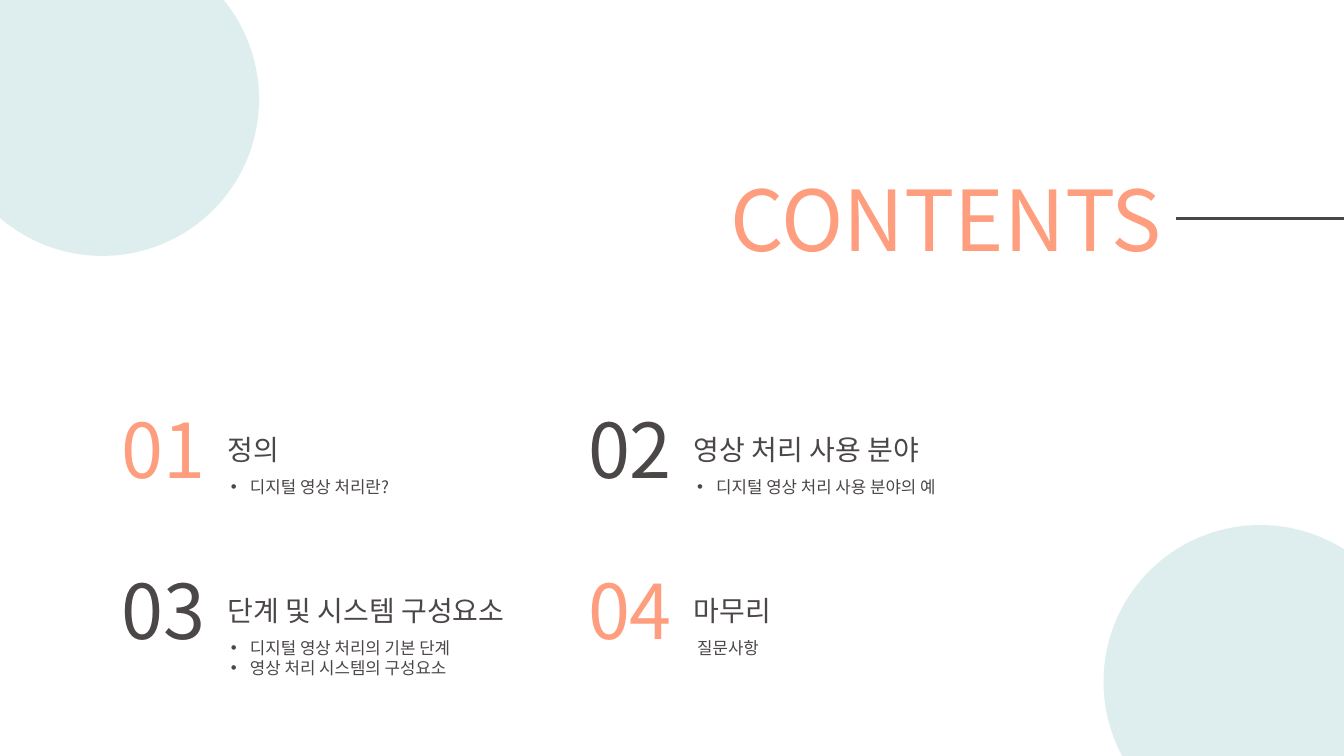
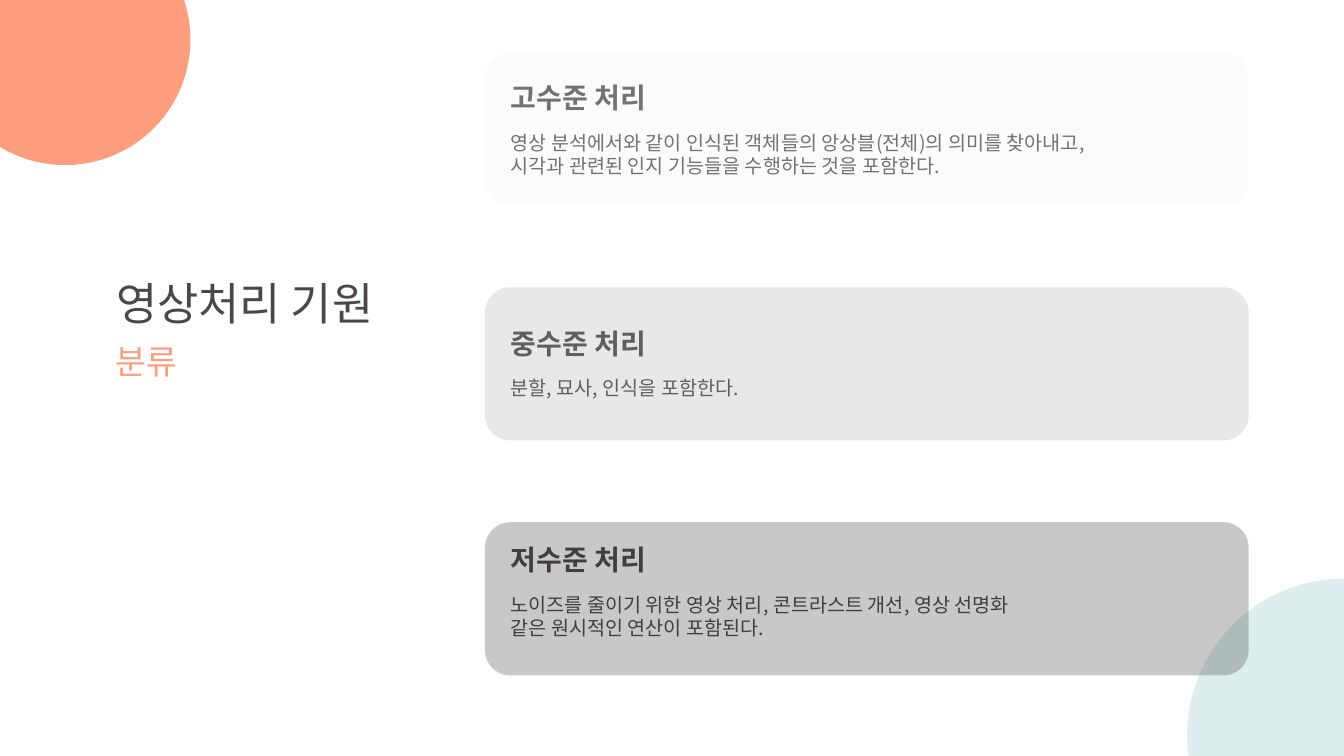
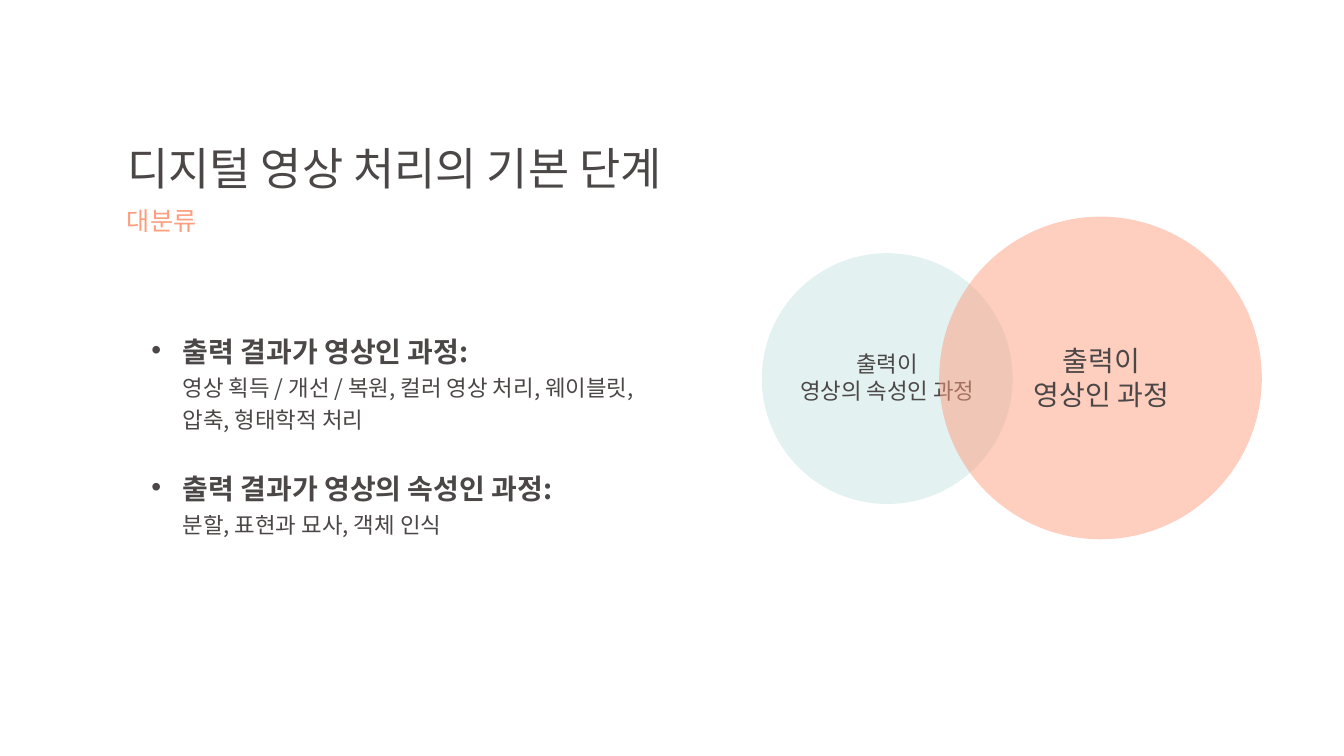
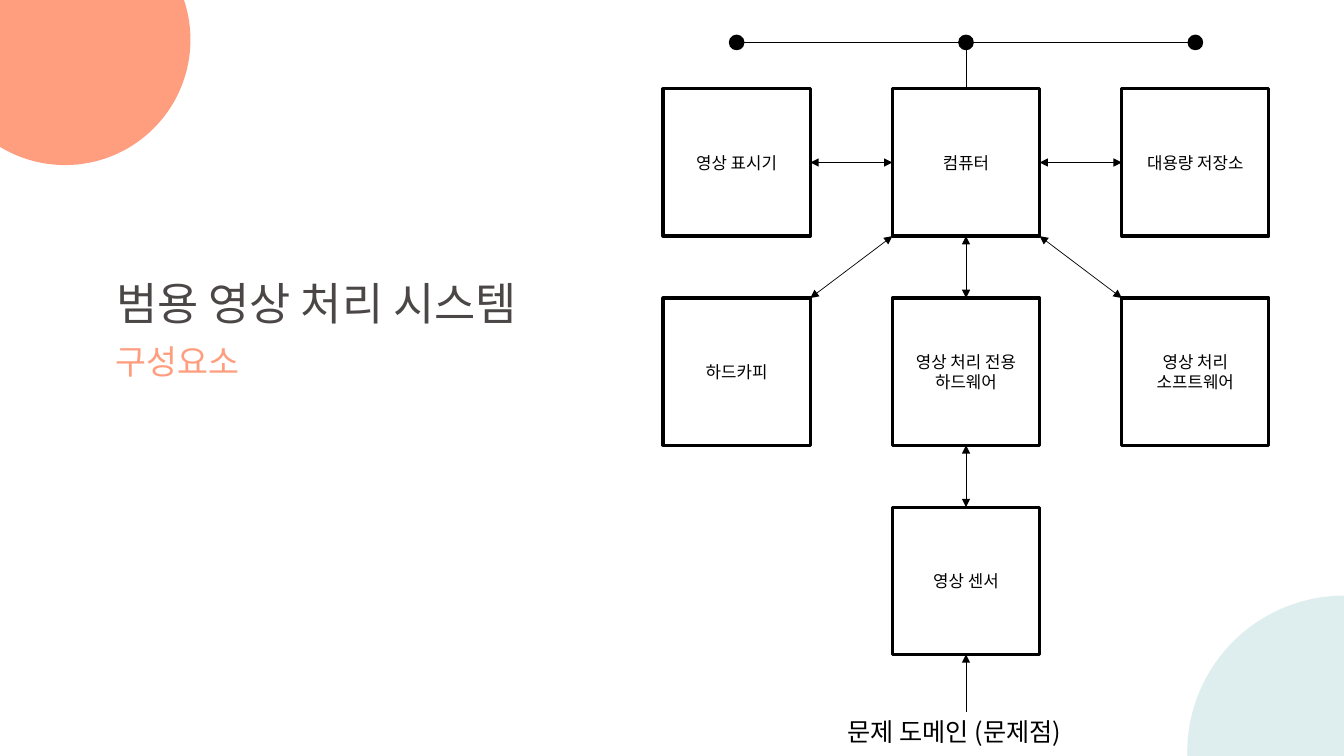
from dataclasses import dataclass
from typing import Any, Optional

from lxml import etree
from pptx import Presentation
from pptx.dml.color import RGBColor
from pptx.enum.shapes import MSO_CONNECTOR, MSO_SHAPE
from pptx.enum.text import MSO_ANCHOR, MSO_AUTO_SIZE, PP_ALIGN
from pptx.oxml.ns import qn
from pptx.util import Cm, Pt

ELLIPSE, RECTANGLE = MSO_SHAPE.OVAL, MSO_SHAPE.RECTANGLE
ROUNDED = MSO_SHAPE.ROUNDED_RECTANGLE
STRAIGHT = MSO_CONNECTOR.STRAIGHT
LEFT, CENTER = PP_ALIGN.LEFT, PP_ALIGN.CENTER
TOP_ANCHOR, MIDDLE = MSO_ANCHOR.TOP, MSO_ANCHOR.MIDDLE
GROW, FIXED = MSO_AUTO_SIZE.SHAPE_TO_FIT_TEXT, MSO_AUTO_SIZE.NONE
TOP, LEFT_SIDE, BOTTOM, RIGHT_SIDE = range(4)


@dataclass(frozen=True)
class Theme:
    font: str = "Noto Sans CJK KR"
    ink: str = "4C4747"
    peach: str = "FE9E7E"
    mint: str = "C8E4E5"
    black: str = "000000"
    white: str = "FFFFFF"
    cover: int = 60
    number: int = 54
    title: int = 32
    subtitle: int = 24
    heading: int = 20
    label: int = 18
    body: int = 16
    detail: int = 14
    small: int = 12


THEME = Theme()
SLIDE_WIDTH, SLIDE_HEIGHT = 33.87, 19.05


@dataclass(frozen=True)
class Para:
    text: str
    size: int
    color: str = THEME.ink
    bold: bool = False
    align: Any = LEFT
    indent: float = 0
    bullet: bool = False
    space_before: float = 0
    outline: bool = True


@dataclass(frozen=True)
class Area:
    left: float
    top: float
    width: float
    height: float

    def lengths(self) -> tuple:
        return Cm(self.left), Cm(self.top), Cm(self.width), Cm(self.height)


@dataclass(frozen=True)
class Chapter:
    number: str
    color: str
    heading: str
    heading_width: float
    details: tuple
    detail_width: float
    bullet: bool = True


@dataclass(frozen=True)
class Card:
    heading: str
    lines: tuple
    fill: str
    text_offset: float
    text_width: float


@dataclass(frozen=True)
class Node:
    name: str
    column: int
    row: int
    lines: tuple


# Text

def set_values(target: Any, values: dict) -> None:
    for name, value in values.items():
        setattr(target, name, value)


def add_outline(properties: Any, color: str) -> None:
    line = etree.Element(qn("a:ln"), w=str(Pt(0.75)))
    fill = etree.SubElement(line, qn("a:solidFill"))
    tone = etree.SubElement(fill, qn("a:srgbClr"), val=color)
    etree.SubElement(tone, qn("a:alpha"), val="20000")
    properties.insert(0, line)


def write(frame: Any, paras: list[Para]) -> None:
    for index, item in enumerate(paras):
        para = frame.paragraphs[0] if index == 0 else frame.add_paragraph()
        set_values(para, {"alignment": item.align, "space_before": Pt(item.space_before)})
        if item.indent:
            properties = para._p.get_or_add_pPr()
            properties.set("marL", str(Cm(item.indent)))
            properties.set("indent", str(-Cm(item.indent) if item.bullet else 0))
            if item.bullet:
                etree.SubElement(properties, qn("a:buFont"), typeface="Arial")
                etree.SubElement(properties, qn("a:buChar"), char="•")
        span = para.add_run()
        span.text = item.text
        set_values(span.font, {"name": THEME.font, "size": Pt(item.size), "bold": item.bold})
        span.font.color.rgb = RGBColor.from_string(item.color)
        properties = span.font._element
        etree.SubElement(properties, qn("a:ea"), typeface=THEME.font)
        if item.outline:
            add_outline(properties, item.color)


def add_text(page: Any, area: Area, paras: list[Para]) -> Any:
    box = page.shapes.add_textbox(*area.lengths())
    set_values(box.text_frame, {"word_wrap": False, "auto_size": GROW})
    write(box.text_frame, paras)
    return box


def add_page(deck: Any, title: str, area: Area, size: int = THEME.title,
             color: str = THEME.ink) -> Any:
    page = deck.slides.add_slide(deck.slide_layouts[5])
    box = page.shapes.title
    set_values(box, dict(zip(("left", "top", "width", "height"), area.lengths())))
    set_values(box.text_frame, {"word_wrap": True, "auto_size": FIXED,
                                "vertical_anchor": TOP_ANCHOR})
    write(box.text_frame, [Para(title, size, color)])
    return page


# Shapes and lines

def add_shape(page: Any, kind: Any, area: Area, fill: str, opacity: int = 100,
              line: Optional[str] = None, line_width: float = 1) -> Any:
    shape = page.shapes.add_shape(kind, *area.lengths())
    shape.shadow.inherit = False
    shape.fill.solid()
    shape.fill.fore_color.rgb = RGBColor.from_string(fill)
    if opacity < 100:
        tone = shape._element.spPr.find(qn("a:solidFill"))[0]
        etree.SubElement(tone, qn("a:alpha"), val=str(opacity * 1000))
    if line:
        shape.line.color.rgb = RGBColor.from_string(line)
        shape.line.width = Pt(line_width)
    else:
        shape.line.fill.background()
    return shape


def add_circle(page: Any, left: float, top: float, diameter: float,
               fill: str, opacity: int = 100) -> Any:
    return add_shape(page, ELLIPSE, Area(left, top, diameter, diameter), fill, opacity)


def add_line(page: Any, start: tuple = (0, 0), end: tuple = (0, 0),
             color: str = THEME.black, width: float = 0.5,
             head: bool = False, tail: bool = False) -> Any:
    line = page.shapes.add_connector(STRAIGHT, *(Cm(value) for value in start + end))
    line.line.color.rgb = RGBColor.from_string(color)
    line.line.width = Pt(width)
    properties = line._element.spPr
    for tag, wanted in (("a:headEnd", head), ("a:tailEnd", tail)):
        if wanted:
            etree.SubElement(properties.find(qn("a:ln")), qn(tag), type="triangle")
    etree.SubElement(properties, qn("a:effectLst"))
    return line


# Slides

def build_contents(deck: Any) -> None:
    page = add_page(deck, "CONTENTS", Area(18.16, 4.09, 11.48, 2.82), 60, THEME.peach)
    add_line(page, (29.64, 5.51), (SLIDE_WIDTH, 5.51), THEME.ink, 2.25)
    for left, top in ((-1.37, -1.45), (27.81, 13.23)):
        add_circle(page, left, top, 7.9, THEME.mint, THEME.cover)

    chapters = [
        Chapter("01", THEME.peach, "정의", 1.93, ("디지털 영상 처리란?",), 4.9),
        Chapter("02", THEME.ink, "영상 처리 사용 분야", 6.96,
                ("디지털 영상 처리 사용 분야의 예",), 7.32),
        Chapter("03", THEME.ink, "단계 및 시스템 구성요소", 8.38,
                ("디지털 영상 처리의 기본 단계", "영상 처리 시스템의 구성요소"), 6.73),
        Chapter("04", THEME.peach, "마무리", 2.64, ("질문사항",), 2.24, False),
    ]
    for index, chapter in enumerate(chapters):
        row, column = divmod(index, 2)
        left, top = 2.82 + 11.75 * column, 10.03 + 4.06 * row
        add_text(page, Area(left, top, 2.67, 2.57),
                 [Para(chapter.number, THEME.number, chapter.color)])
        add_text(page, Area(left + 2.67, top + 0.74, chapter.heading_width, 1.12),
                 [Para(chapter.heading, THEME.heading)])
        indent = 0.48 if chapter.bullet else 0
        add_text(page, Area(left + 2.75, top + 1.85, chapter.detail_width,
                            0.25 + 0.51 * len(chapter.details)),
                 [Para(text, THEME.small, indent=indent, bullet=chapter.bullet)
                  for text in chapter.details])


def add_section_page(deck: Any, title: str, width: float, subtitle: str,
                     subtitle_width: float, mint_top: float) -> Any:
    page = add_page(deck, title, Area(2.67, 6.83, width, 1.63))
    add_circle(page, -1.52, -2.16, 6.32, THEME.peach)
    add_text(page, Area(2.67, 8.46, subtitle_width, 1.27),
             [Para(subtitle, THEME.subtitle, THEME.peach)])
    add_circle(page, 29.92, mint_top, 7.9, THEME.mint, THEME.cover)
    return page


def build_levels(deck: Any) -> None:
    page = add_section_page(deck, "영상처리 기원", 7.75, "분류", 2.24, 14.58)
    cards = [
        Card("고수준 처리",
             ("영상 분석에서와 같이 인식된 객체들의 앙상블(전체)의 의미를 찾아내고,",
              "시각과 관련된 인지 기능들을 수행하는 것을 포함한다."), "F2F2F2", 0.59, 16.79),
        Card("중수준 처리", ("분할, 묘사, 인식을 포함한다.",), "A6A6A6", 0.86, 7.04),
        Card("저수준 처리",
             ("노이즈를 줄이기 위한 영상 처리, 콘트라스트 개선, 영상 선명화",
              "같은 원시적인 연산이 포함된다."), "262626", 0.39, 14.6),
    ]
    for index, card in enumerate(cards):
        card_top = 1.32 + 5.92 * index
        text_top = card_top + card.text_offset
        add_text(page, Area(12.62, text_top, 4.32, 1.12),
                 [Para(card.heading, THEME.heading, bold=True)])
        add_text(page, Area(12.62, text_top + 1.26, card.text_width,
                            0.26 + 0.6 * len(card.lines)),
                 [Para(text, THEME.detail) for text in card.lines])
        # The translucent card lies over its text
        add_shape(page, ROUNDED, Area(12.22, card_top, 19.25, 3.86), card.fill, 25)


def build_steps(deck: Any) -> None:
    page = add_page(deck, "디지털 영상 처리의 기본 단계", Area(2.95, 3.43, 15.8, 1.63))
    add_text(page, Area(2.95, 5.05, 2.44, 1.02), [Para("대분류", THEME.label, THEME.peach)])

    # Table of the two kinds of process
    table = page.shapes.add_table(1, 2, *Area(2.95, 8.18, 14.96, 4.65).lengths()).table
    set_values(table, {"first_row": False, "horz_banding": False})
    for column, width in zip(table.columns, (0.58, 14.38)):
        column.width = Cm(width)
    for cell in table.iter_cells():
        cell.fill.background()
    groups = [
        ("출력 결과가 영상인 과정:",
         ("영상 획득 / 개선 / 복원, 컬러 영상 처리, 웨이블릿,", "압축, 형태학적 처리")),
        ("출력 결과가 영상의 속성인 과정:", ("분할, 표현과 묘사, 객체 인식",)),
    ]
    paras = []
    for index, (heading, lines) in enumerate(groups):
        paras.append(Para(heading, THEME.heading, bold=True, indent=0.79, bullet=True,
                          space_before=23 * index))
        paras += [Para(text, THEME.body, indent=0.79) for text in lines]
    write(table.cell(0, 1).text_frame, paras)

    # Overlapping circles
    circles = [
        ((19.2, 6.38, 6.32, THEME.mint), Area(19.63, 8.71, 5.46, 1.63),
         THEME.body, ("출력이", "영상의 속성인 과정")),
        ((23.67, 5.46, 8.13, THEME.peach), Area(25.6, 8.53, 4.32, 1.96),
         THEME.heading, ("출력이", "영상인 과정")),
    ]
    for circle, area, size, lines in circles:
        add_circle(page, *circle, 50)
        add_text(page, area, [Para(text, size, align=CENTER) for text in lines])


def build_system(deck: Any) -> None:
    page = add_section_page(deck, "범용 영상 처리 시스템", 11.96, "구성요소", 3.94, 15.01)
    side, left, top, step_x, step_y = 3.71, 16.71, 2.24, 5.78, 5.27
    nodes = [
        Node("display", 0, 0, ("영상 표시기",)),
        Node("computer", 1, 0, ("컴퓨터",)),
        Node("storage", 2, 0, ("대용량 저장소",)),
        Node("hardcopy", 0, 1, ("하드카피",)),
        Node("hardware", 1, 1, ("영상 처리 전용", "하드웨어")),
        Node("software", 2, 1, ("영상 처리", "소프트웨어")),
        Node("sensor", 1, 2, ("영상 센서",)),
    ]
    boxes = {}
    for node in nodes:
        area = Area(left + step_x * node.column, top + step_y * node.row, side, side)
        box = add_shape(page, RECTANGLE, area, THEME.white, line=THEME.black, line_width=2.25)
        set_values(box.text_frame, {"word_wrap": True, "vertical_anchor": MIDDLE})
        write(box.text_frame, [Para(text, THEME.small, THEME.black, align=CENTER, outline=False)
                               for text in node.lines])
        boxes[node.name] = box

    # Two-way links between boxes
    links = [
        ("display", RIGHT_SIDE, "computer", LEFT_SIDE),
        ("computer", RIGHT_SIDE, "storage", LEFT_SIDE),
        ("computer", BOTTOM, "hardware", TOP),
        ("sensor", TOP, "hardware", BOTTOM),
    ]
    for start, start_side, end, end_side in links:
        line = add_line(page, head=True, tail=True)
        line.begin_connect(boxes[start], start_side)
        line.end_connect(boxes[end], end_side)
    computer_left, computer_bottom = left + step_x, top + side
    second_row = top + step_y
    for start_x, end_x in ((left + side, computer_left),
                           (left + 2 * step_x, computer_left + side)):
        add_line(page, (start_x, second_row), (end_x, computer_bottom), head=True, tail=True)

    # Bus along the top
    dot, bus_y = 0.36, 1.07
    centers = [left + side / 2 + step_x * column for column in range(3)]
    for center in centers:
        add_shape(page, ELLIPSE, Area(center - dot / 2, bus_y - dot / 2, dot, dot),
                  THEME.black, line=THEME.black)
    drop = add_line(page, (centers[1], top), (centers[1], bus_y + dot / 2))
    drop.begin_connect(boxes["computer"], TOP)
    add_line(page, (centers[0] - dot / 2, bus_y), (centers[2] + dot / 2, bus_y))

    # Problem domain
    label_top = 17.93
    add_text(page, Area(21.11, label_top, 6.48, 1.02),
             [Para("문제 도메인 (문제점)", THEME.label, THEME.black, outline=False)])
    arrow = add_line(page, (centers[1], label_top), (centers[1], label_top - 1), tail=True)
    arrow.end_connect(boxes["sensor"], BOTTOM)


def main() -> None:
    deck = Presentation()
    set_values(deck, {"slide_width": Cm(SLIDE_WIDTH), "slide_height": Cm(SLIDE_HEIGHT)})
    for build in (build_contents, build_levels, build_steps, build_system):
        build(deck)
    deck.save("out.pptx")


if __name__ == "__main__":
    main()
